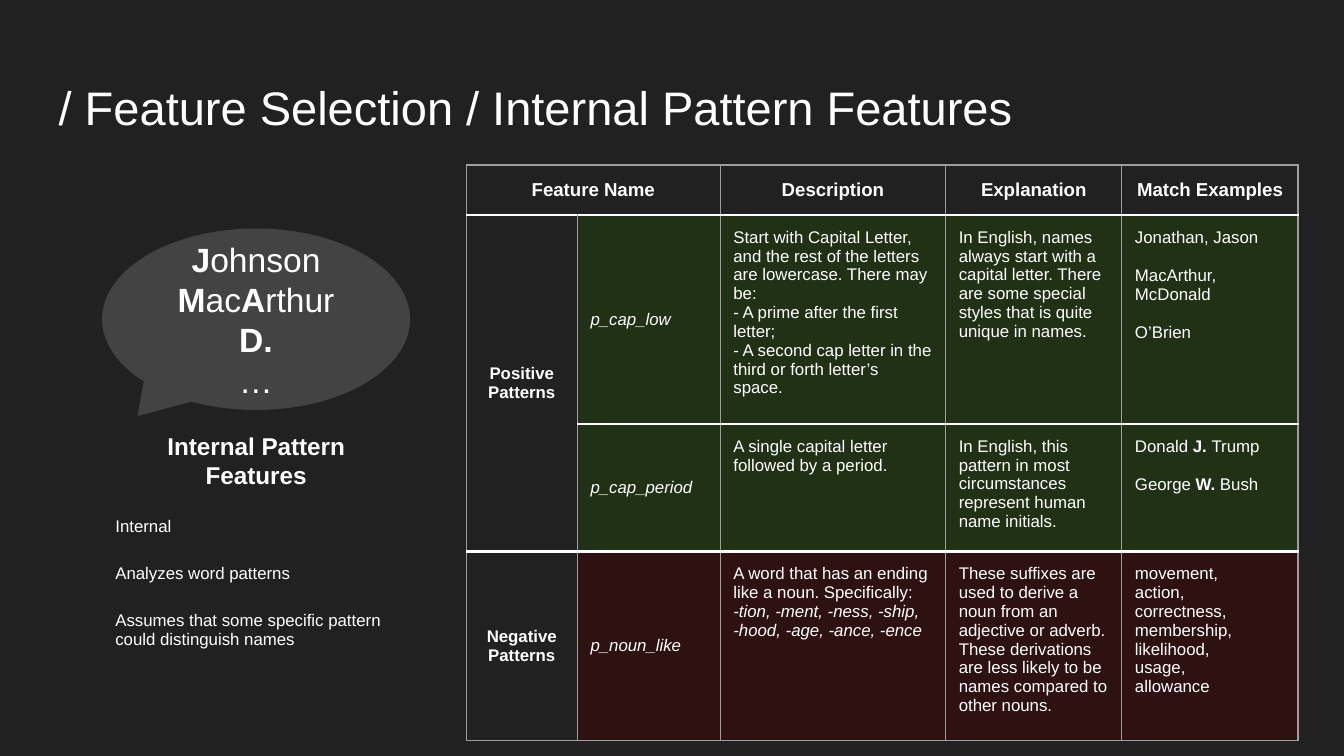
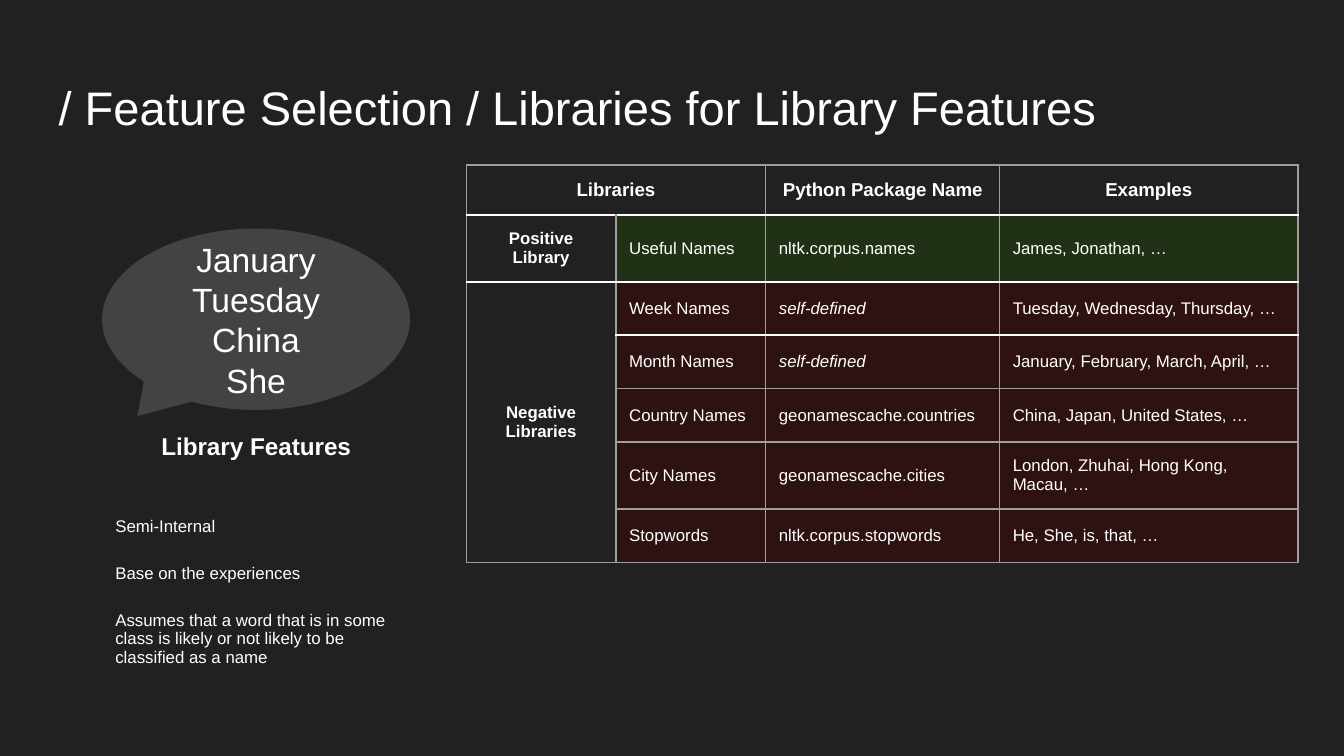
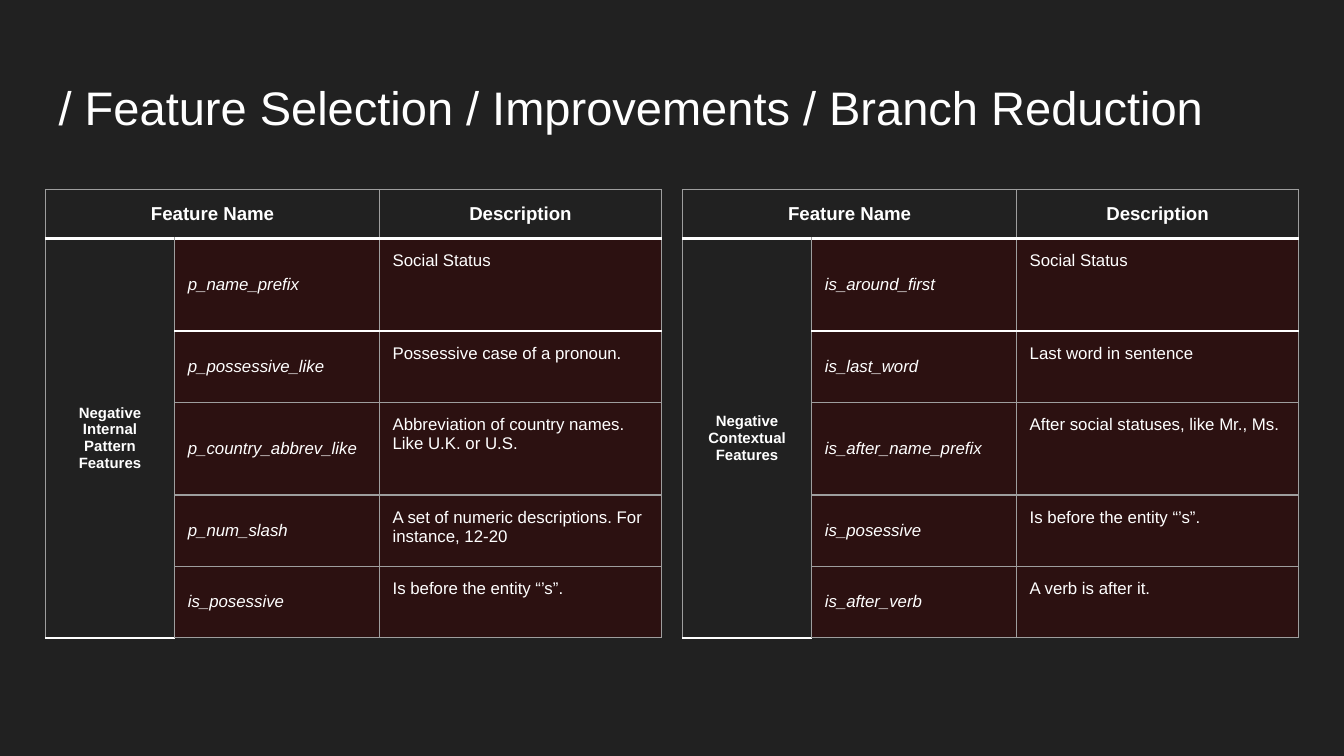
from dataclasses import dataclass

from lxml import etree
from pptx import Presentation
from pptx.dml.color import RGBColor as RGB
from pptx.enum.shapes import MSO_SHAPE
from pptx.enum.text import MSO_ANCHOR as ANCHOR, PP_ALIGN as ALIGN
from pptx.oxml.ns import qn
from pptx.util import Cm, Pt


@dataclass(frozen=True)
class Theme:
    font: str = "Arial"
    background: str = "212121"
    text: str = "FFFFFF"
    bubble: str = "434343"
    positive: str = "203116"
    negative: str = "2E1111"
    reduced: str = "2C1111"
    grid: tuple = ("9E9E9E", 0.75)
    rule: tuple = ("FFFFFF", 1.5)
    edge: tuple = ("FFFFFF", 1)
    title_size: float = 25.2
    bubble_size: float = 18
    heading_size: float = 13
    header_size: float = 10
    body_size: float = 9
    label_size: float = 8
    inset: float = 0.25


T = Theme()


def write(tf, text, size, bold=False, align=ALIGN.LEFT):
    """Fill a text frame: a leading ~ makes a line italic, *...* makes words
    bold, and an empty line becomes a one-line gap before the next line."""
    p, gap = tf.paragraphs[0], False
    for i, line in enumerate(text.split("\n")):
        if not line:
            gap = True
            continue
        if i:
            p = tf.add_paragraph()
        p.alignment = align
        if gap:
            p.space_before = Pt(size * 1.15)
            gap = False
        font = p.font
        font.name, font.size, font.bold = T.font, Pt(size), bold
        font.italic = line.startswith("~")
        font.color.rgb = RGB.from_string(T.text)
        for k, part in enumerate(line.lstrip("~").split("*")):
            if part:
                r = p.add_run()
                r.text = part
                if k % 2:
                    r.font.bold = True


def set_insets(obj):
    obj.margin_left = obj.margin_right = Cm(T.inset)
    obj.margin_top = obj.margin_bottom = Cm(T.inset)


def add_text(slide, left, top, width, height, text, size, **style):
    tf = slide.shapes.add_textbox(Cm(left), Cm(top), Cm(width), Cm(height)).text_frame
    tf.word_wrap = True
    set_insets(tf)
    write(tf, text, size, **style)


def set_borders(cell, left=None, right=None, top=None, bottom=None):
    """Give each side a (colour, points) line, or no line for None."""
    tcPr = cell._tc.get_or_add_tcPr()
    sides = {"L": left, "R": right, "T": top, "B": bottom}
    for i, (side, line) in enumerate(sides.items()):
        ln = etree.Element(qn("a:ln" + side))
        if line:
            color, points = line
            ln.set("w", str(Pt(points)))
            fill = etree.SubElement(ln, qn("a:solidFill"))
            etree.SubElement(fill, qn("a:srgbClr"), val=color)
        else:
            etree.SubElement(ln, qn("a:noFill"))
        tcPr.insert(i, ln)


def add_grid(slide, left, top, widths, heights):
    table = slide.shapes.add_table(
        len(heights), len(widths), Cm(left), Cm(top), Cm(sum(widths)), Cm(sum(heights))
    ).table
    table.first_row = table.horz_banding = False
    for column, width in zip(table.columns, widths):
        column.width = Cm(width)
    for row, height in zip(table.rows, heights):
        row.height = Cm(height)
    return table


def fill_cell(cell, text, size, fill=None, anchor=ANCHOR.MIDDLE, **style):
    set_insets(cell)
    cell.vertical_anchor = anchor
    if fill:
        cell.fill.solid()
        cell.fill.fore_color.rgb = RGB.from_string(fill)
    else:
        cell.fill.background()
    write(cell.text_frame, text, size, **style)


def add_slide(prs, title):
    slide = prs.slides.add_slide(prs.slide_layouts[6])
    slide.background.fill.solid()
    slide.background.fill.fore_color.rgb = RGB.from_string(T.background)
    add_text(slide, 0.86, 1.24, 23.67, 1.6, title, T.title_size)
    return slide


def add_side_panel(slide, left, top, width, bubble, heading, notes, note_heights):
    """Speech bubble, heading and stacked notes, from top to bottom."""
    sp = slide.shapes.add_shape(
        MSO_SHAPE.OVAL_CALLOUT, Cm(left), Cm(top), Cm(width), Cm(3.43))
    sp.adjustments[0], sp.adjustments[1] = -0.385, 0.534
    sp.shadow.inherit = False
    sp.fill.solid()
    sp.fill.fore_color.rgb = RGB.from_string(T.bubble)
    sp.line.fill.background()
    tf = sp.text_frame
    tf.word_wrap = True
    tf.vertical_anchor = ANCHOR.MIDDLE
    set_insets(tf)
    write(tf, bubble, T.bubble_size, align=ALIGN.CENTER)

    add_text(slide, left, top + 3.58, width, 1.07, heading, T.heading_size,
             bold=True, align=ALIGN.CENTER)

    table = add_grid(slide, left, top + 5.21, [width], note_heights)
    for i, note in enumerate(notes):
        fill_cell(table.cell(i, 0), note, T.body_size, anchor=ANCHOR.TOP)
        set_borders(table.cell(i, 0))


def add_feature_table(slide, left, top, widths, heights, headers, groups, rules,
                      detail_anchor=ANCHOR.TOP, label_size=T.body_size, label_edge=T.grid):
    """Grouped table; groups hold (label, fill, rows), and rules number the
    row boundaries that are drawn as heavy lines."""
    table = add_grid(slide, left, top, widths, heights)
    table.cell(0, 0).merge(table.cell(0, 1))
    for c, header in zip((0, *range(2, len(widths))), headers):
        fill_cell(table.cell(0, c), header, T.header_size, bold=True, align=ALIGN.CENTER)

    r = 1
    for label, fill, rows in groups:
        if len(rows) > 1:
            table.cell(r, 0).merge(table.cell(r + len(rows) - 1, 0))
        fill_cell(table.cell(r, 0), label, label_size, bold=True, align=ALIGN.CENTER)
        for row in rows:
            for c, text in enumerate(row, 1):
                anchor = ANCHOR.MIDDLE if c == 1 else detail_anchor
                fill_cell(table.cell(r, c), text, T.body_size, fill, anchor)
            r += 1

    for r in range(len(heights)):
        for c in range(len(widths)):
            cell = table.cell(r, c)
            if cell.is_spanned:
                continue
            end = r + (cell.span_height if cell.is_merge_origin else 1)
            bottom = T.rule if end in rules else T.grid
            if c == 0 and end == len(heights):
                bottom = label_edge
            set_borders(cell, T.grid, T.grid, T.rule if r in rules else T.grid, bottom)


def add_pattern_slide(prs):
    slide = add_slide(prs, "/ Feature Selection / Internal Pattern Features")
    add_side_panel(
        slide, 1.93, 4.32, 5.82,
        "*J*ohnson\n*M*ac*A*rthur\n*D.*\n…",
        "Internal Pattern Features",
        ["Internal", "Analyzes word patterns",
         "Assumes that some specific pattern could distinguish names"],
        [0.89, 0.89, 1.26])
    positive = [
        ("~p_cap_low",
         "Start with Capital Letter, and the rest of the letters are lowercase. "
         "There may be:\n- A prime after the first letter;\n"
         "- A second cap letter in the third or forth letter’s space.",
         "In English, names always start with a capital letter. There are some "
         "special styles that is quite unique in names.",
         "Jonathan, Jason\n\nMacArthur, McDonald\n\nO’Brien"),
        ("~p_cap_period",
         "A single capital letter followed by a period.",
         "In English, this pattern in most circumstances represent human name initials.",
         "Donald *J. *Trump\n\nGeorge *W. *Bush"),
    ]
    negative = [
        ("~p_noun_like",
         "A word that has an ending like a noun. Specifically:\n"
         "~-tion, -ment, -ness, -ship, -hood, -age, -ance, -ence",
         "These suffixes are used to derive a noun from an adjective or adverb. "
         "These derivations are less likely to be names compared to other nouns.",
         "movement,\naction,\ncorrectness, membership,\nlikelihood,\nusage,\nallowance"),
    ]
    add_feature_table(
        slide, 8.81, 3.12, [2.1, 2.7, 4.26, 3.33, 3.33], [0.94, 3.95, 2.4, 3.58],
        ["Feature Name", "Description", "Explanation", "Match Examples"],
        [("Positive Patterns", T.positive, positive),
         ("Negative Patterns", T.negative, negative)],
        rules=(1, 2, 3))


def add_library_slide(prs):
    slide = add_slide(prs, "/ Feature Selection / Libraries for Library Features")
    add_side_panel(
        slide, 1.93, 4.32, 5.82,
        "January\nTuesday\nChina\nShe",
        "Library Features",
        ["Semi-Internal", "Base on the experiences",
         "Assumes that a word that is in some class is likely or not likely to be "
         "classified as a name"],
        [0.87, 0.87, 1.69])
    positive = [("Useful Names", "nltk.corpus.names", "James, Jonathan, …")]
    negative = [
        ("Week Names", "~self-defined", "Tuesday, Wednesday, Thursday, …"),
        ("Month Names", "~self-defined", "January, February, March, April, …"),
        ("Country Names", "geonamescache.countries", "China, Japan, United States, …"),
        ("City Names", "geonamescache.cities", "London, Zhuhai, Hong Kong, Macau, …"),
        ("Stopwords", "nltk.corpus.stopwords", "He, She, is, that, …"),
    ]
    one_line, two_lines = 1.01, 1.26
    add_feature_table(
        slide, 8.81, 3.12, [2.83, 2.83, 4.42, 5.64],
        [0.94, two_lines, *[one_line] * 3, two_lines, one_line],
        ["Libraries", "Python Package Name", "Examples"],
        [("Positive Library", T.positive, positive),
         ("Negative Libraries", T.negative, negative)],
        rules=(1, 2, 3), detail_anchor=ANCHOR.MIDDLE)


def add_reduction_slide(prs):
    slide = add_slide(prs, "/ Feature Selection / Improvements / Branch Reduction")
    internal = [
        ("~p_name_prefix", "Social Status"),
        ("~p_possessive_like", "Possessive case of a pronoun."),
        ("~p_country_abbrev_like", "Abbreviation of country names. Like U.K. or U.S."),
        ("~p_num_slash", "A set of numeric descriptions. For instance, 12-20"),
        ("~is_posessive", "Is before the entity “’s”."),
    ]
    contextual = [
        ("~is_around_first", "Social Status"),
        ("~is_last_word", "Last word in sentence"),
        ("~is_after_name_prefix", "After social statuses, like Mr., Ms."),
        ("~is_posessive", "Is before the entity “’s”."),
        ("~is_after_verb", "A verb is after it."),
    ]
    widths, gap = [2.44, 3.87, 5.33], 0.4
    tables = [("Negative Internal Pattern Features", internal),
              ("Negative Contextual Features", contextual)]
    for i, (label, rows) in enumerate(tables):
        add_feature_table(
            slide, 0.86 + i * (sum(widths) + gap), 3.58, widths,
            [0.9, 1.75, 1.35, 1.75, 1.35, 1.35],
            ["Feature Name", "Description"], [(label, T.reduced, rows)],
            rules=(1, 2), label_size=T.label_size, label_edge=T.edge)


def main():
    prs = Presentation()
    prs.slide_width, prs.slide_height = Cm(25.4), Cm(14.29)
    add_pattern_slide(prs)
    add_library_slide(prs)
    add_reduction_slide(prs)
    prs.save("out.pptx")


if __name__ == "__main__":
    main()
